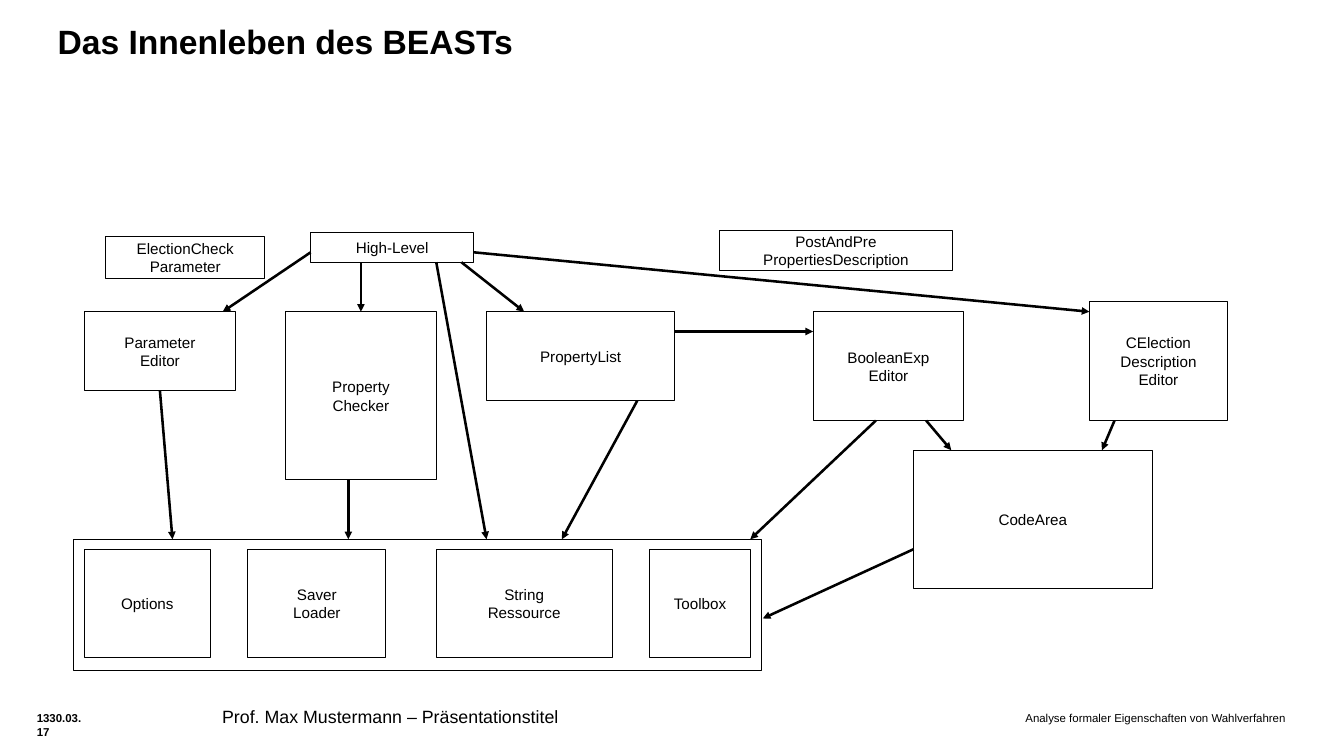
from dataclasses import dataclass

from lxml import etree
from pptx import Presentation, util as u
from pptx.dml.color import RGBColor
from pptx.enum import shapes, text
from pptx.oxml import ns

SLIDE_WIDTH, SLIDE_HEIGHT = 14.7, 8.27
COLUMN = SLIDE_WIDTH / 107
ROW = SLIDE_HEIGHT / 76.4
# Inches from the slide corner to column 0, row 0: the Parameter Editor corner
ORIGIN_X, ORIGIN_Y = 0.925, 3.41
BLACK, WHITE = "000000", "FFFFFF"
FONT = "Arial"


@dataclass(frozen=True)
class Area:
    column: float
    row: float
    columns: float
    rows: float


@dataclass(frozen=True)
class Component:
    label: str
    area: Area


@dataclass(frozen=True)
class Arrow:
    start: tuple[float, float]
    end: tuple[float, float]


COMPONENTS = [
    Component("High-Level", Area(18, -8, 13, 3)),
    Component("Parameter\nEditor", Area(0, 0, 12, 8)),
    Component("Property\nChecker", Area(16, 0, 12, 17)),
    Component("PropertyList", Area(32, 0, 15, 9)),
    Component("Options", Area(0, 24, 10, 11)),
    Component("Saver\nLoader", Area(13, 24, 11, 11)),
    Component("String\nRessource", Area(28, 24, 14, 11)),
    Component("Toolbox", Area(45, 24, 8, 11)),
    Component("CodeArea", Area(66, 14, 19, 14)),
    Component("BooleanExp\nEditor", Area(58, 0, 12, 11)),
    Component("CElection\nDescription\nEditor", Area(80, -1, 11, 12)),
    Component("ElectionCheck\nParameter", Area(1.7, -7.65, 12.65, 4.25)),
    Component("PostAndPre\nPropertiesDescription", Area(50.55, -8.2, 18.55, 4)),
]
ARROWS = [
    Arrow((18, -6), (11, 0)),
    Arrow((22, -5), (22, 0)),
    Arrow((30, -5), (35, 0)),
    Arrow((47, 2), (58, 2)),
    Arrow((31, -6), (80, 0)),
    Arrow((6, 8), (7, 23)),
    Arrow((21, 17), (21, 23)),
    Arrow((44, 9), (38, 23)),
    Arrow((63, 11), (53, 23)),
    Arrow((67, 11), (69, 14)),
    Arrow((82, 11), (81, 14)),
    Arrow((66, 24), (54, 31)),
    Arrow((28, -5), (32, 23)),
]
SHARED_FRAME = Area(-0.85, 23, 54.75, 13.3)


def colour(value: str) -> RGBColor:
    return RGBColor.from_string(value)


def point(column: float, row: float) -> tuple[int, int]:
    return u.Inches(ORIGIN_X + column * COLUMN), u.Inches(ORIGIN_Y + row * ROW)


def bounds(area: Area) -> tuple[int, int, int, int]:
    size = u.Inches(area.columns * COLUMN), u.Inches(area.rows * ROW)
    return *point(area.column, area.row), *size


def write(box, content: str, *, size: float, bold: bool = False,
          align=text.PP_ALIGN.LEFT, anchor=text.MSO_ANCHOR.TOP,
          insets=(0, 0, 0, 0)) -> None:
    """Fill a box with one paragraph per line; insets are left, top, right, bottom."""
    frame = box.text_frame
    frame.word_wrap = True
    frame.vertical_anchor = anchor
    (frame.margin_left, frame.margin_top,
     frame.margin_right, frame.margin_bottom) = map(u.Inches, insets)
    frame.text = content
    for para in frame.paragraphs:
        para.alignment = align
        for span in para.runs:
            span.font.name = FONT
            span.font.size = u.Pt(size)
            span.font.bold = bold
            span.font.color.rgb = colour(BLACK)


def add_text(page, content: str, area: Area, **style) -> None:
    write(page.shapes.add_textbox(*bounds(area)), content, **style)


def add_rectangle(page, area: Area, fill: str | None = None):
    box = page.shapes.add_shape(shapes.MSO_SHAPE.RECTANGLE, *bounds(area))
    box.shadow.inherit = False
    if fill:
        box.fill.solid()
        box.fill.fore_color.rgb = colour(fill)
    else:
        box.fill.background()
    box.line.color.rgb = colour(BLACK)
    box.line.width = u.Pt(0)
    return box


def add_component(page, component: Component) -> None:
    write(add_rectangle(page, component.area, WHITE), component.label, size=12,
          align=text.PP_ALIGN.CENTER, anchor=text.MSO_ANCHOR.MIDDLE,
          insets=(0.1, 0.05, 0.1, 0.05))


def add_arrow(page, arrow: Arrow) -> None:
    link = page.shapes.add_connector(shapes.MSO_CONNECTOR.STRAIGHT,
                                     *point(*arrow.start), *point(*arrow.end))
    link.line.color.rgb = colour(BLACK)
    link.line.width = u.Pt(0)
    etree.SubElement(link.line._get_or_add_ln(), ns.qn("a:tailEnd"), type="triangle")
    etree.SubElement(link._element.spPr, ns.qn("a:effectLst"))


def main() -> None:
    deck = Presentation()
    deck.slide_width = u.Inches(SLIDE_WIDTH)
    deck.slide_height = u.Inches(SLIDE_HEIGHT)
    page = deck.slides.add_slide(deck.slide_layouts[6])

    add_text(page, "Analyse formaler Eigenschaften von Wahlverfahren",
             Area(63.6, 40.4, 32, 4), size=9, align=text.PP_ALIGN.RIGHT)
    add_text(page, "1330.03.17", Area(-3.8, 40.4, 3.8, 2.4), size=9, bold=True)
    add_text(page, "Das Innenleben des BEASTs", Area(-2.15, -27.8, 80.9, 6.3),
             size=26.5, bold=True, anchor=text.MSO_ANCHOR.BOTTOM,
             insets=(0, 0, 0, 0.41))
    for component in COMPONENTS:
        add_component(page, component)
    for arrow in ARROWS:
        add_arrow(page, arrow)
    add_rectangle(page, SHARED_FRAME)
    add_text(page, "Prof. Max Mustermann – Präsentationstitel",
             Area(10.95, 39.8, 48.85, 4), size=14)
    deck.save("out.pptx")


if __name__ == "__main__":
    main()
